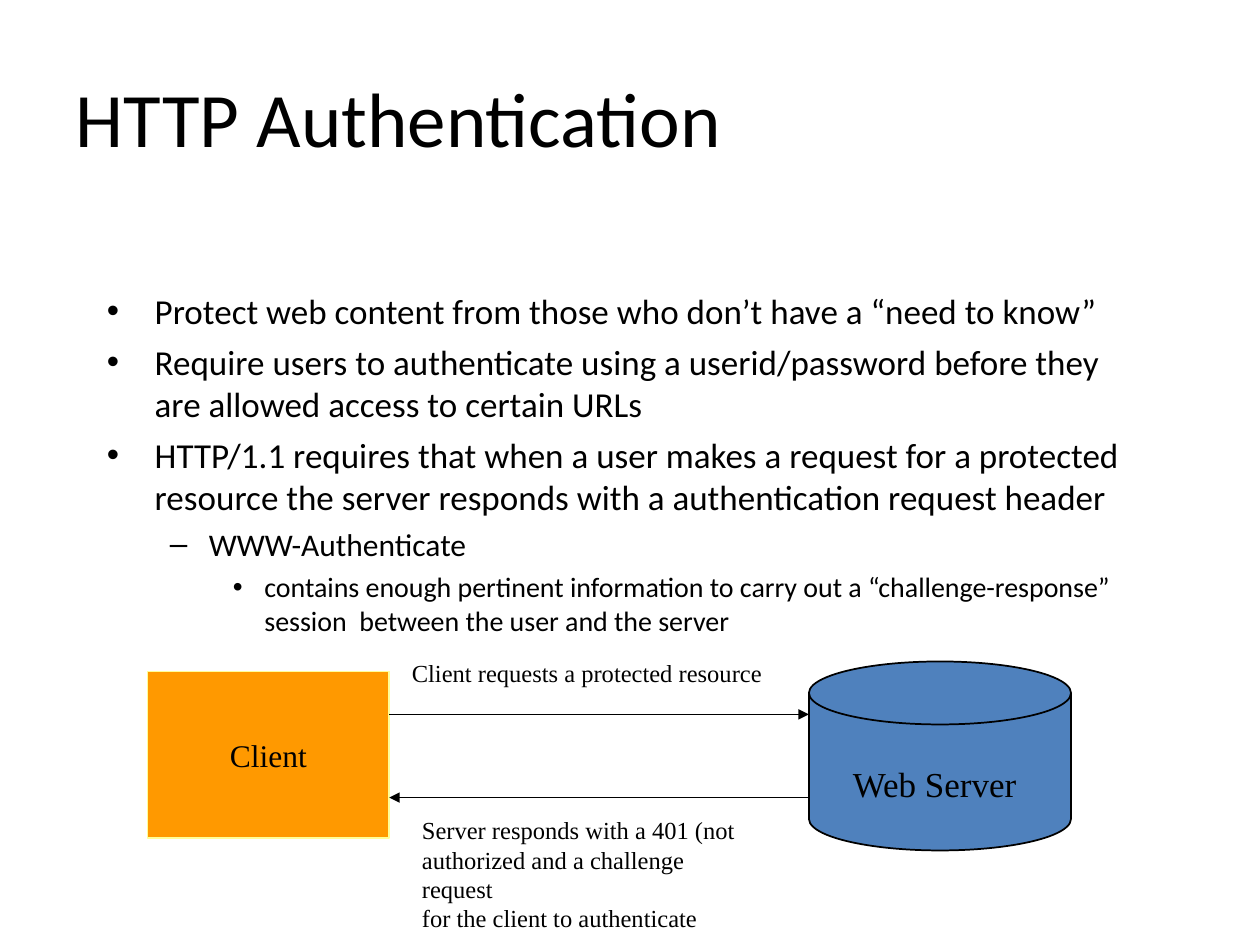
from lxml import etree
from pptx import Presentation
from pptx.dml.color import RGBColor
from pptx.enum import shapes, text
from pptx.oxml import ns
from pptx.util import Inches, Pt

SANS, SERIF = "Calibri", "Times New Roman"
TITLE = "HTTP Authentication"
POINTS = [
    (0, "Protect web content from those who don’t have a “need to know”"),
    (0, "Require users to authenticate using a userid/password before they are "
        "allowed access to certain URLs"),
    (0, "HTTP/1.1 requires that when a user makes a request for a protected "
        "resource the server responds with a authentication request header"),
    (1, "WWW-Authenticate"),
    (2, "contains enough pertinent information to carry out a “challenge-response” "
        "session  between the user and the server"),
]
# level: mark, size, left margin, hanging indent, space before
LEVELS = [("•", 20, 0.38, 0.38, 5), ("–", 18, 0.81, 0.31, 4.5), ("•", 16, 1.25, 0.25, 4)]
CLIENT = (1.17, 5.33, 1.92, 1.32)
SERVER = (6.42, 5.25, 2.08, 1.5)
LABELS = [
    (["Web Server"], (6.67, 6, 1.58, 0.44), 20),
    (["Client requests a protected resource"], (3.17, 5.17, 3.08, 0.34), 14),
    (["Server responds with a 401 (not", "authorized and a challenge request",
      "for the client to authenticate"], (3.25, 6.42, 2.89, 0.8), 14),
]
EDGES = (CLIENT[0] + CLIENT[2], SERVER[0])
ARROWS = [(EDGES, 5.67), (EDGES[::-1], 6.33)]


def color(code):
    return RGBColor.from_string(code)


def write(para, words, size, face=SERIF, align=text.PP_ALIGN.LEFT, gap=0):
    para.text = words
    para.alignment = align
    para.space_before = Pt(gap)
    font = para.font
    font.size, font.name = Pt(size), face
    font.color.rgb = color("000000")


def lines(frame, count):
    """Return the frame's first paragraph and as many more as needed."""
    return [frame.paragraphs[0]] + [frame.add_paragraph() for _ in range(count - 1)]


def bullet(para, mark, left, hang):
    props = para._p.get_or_add_pPr()
    props.set("marL", str(Inches(left)))
    props.set("indent", str(-Inches(hang)))
    etree.SubElement(props, ns.qn("a:buFont"), typeface="Arial")
    etree.SubElement(props, ns.qn("a:buChar"), char=mark)


def add_box(slide, at):
    frame = slide.shapes.add_textbox(*map(Inches, at)).text_frame
    frame.word_wrap = True
    return frame


def add_node(slide, kind, at, fill, edge):
    node = slide.shapes.add_shape(kind, *map(Inches, at))
    node.shadow.inherit = False
    node.fill.solid()
    node.fill.fore_color.rgb = color(fill)
    node.line.color.rgb = color(edge)
    node.line.width = Pt(1)
    return node


def add_arrow(slide, ends, y):
    start, end = ends
    link = slide.shapes.add_connector(
        shapes.MSO_CONNECTOR.STRAIGHT, Inches(start), Inches(y), Inches(end), Inches(y))
    link.line.color.rgb = color("000000")
    link.line.width = Pt(1)
    etree.SubElement(link.line._get_or_add_ln(), ns.qn("a:tailEnd"), type="triangle")
    etree.SubElement(link._element.spPr, ns.qn("a:effectLst"))


def main():
    deck = Presentation()
    deck.slide_width, deck.slide_height = Inches(10), Inches(7.5)
    slide = deck.slides.add_slide(deck.slide_layouts[5])

    title = slide.shapes.title
    title.left, title.top, title.width, title.height = map(Inches, (0.5, 0.3, 9, 1.25))
    title.text_frame.vertical_anchor = text.MSO_ANCHOR.MIDDLE
    write(title.text_frame.paragraphs[0], TITLE, 44, face=SANS)

    body = add_box(slide, (0.75, 2.25, 8.5, 3.08))
    for i, (para, (level, words)) in enumerate(zip(lines(body, len(POINTS)), POINTS)):
        mark, size, left, hang, gap = LEVELS[level]
        para.level = level
        bullet(para, mark, left, hang)
        write(para, words, size, face=SANS, gap=gap if i else 0)

    kinds = shapes.MSO_SHAPE
    add_node(slide, kinds.FLOWCHART_MAGNETIC_DISK, SERVER, "4F81BD", "000000")
    client = add_node(slide, kinds.RECTANGLE, CLIENT, "FF9900", "FFFF99")
    client.text_frame.vertical_anchor = text.MSO_ANCHOR.MIDDLE
    write(client.text_frame.paragraphs[0], "Client", 18, align=text.PP_ALIGN.CENTER)

    for ends, y in ARROWS:
        add_arrow(slide, ends, y)
    for rows, at, size in LABELS:
        frame = add_box(slide, at)
        for para, words in zip(lines(frame, len(rows)), rows):
            write(para, words, size)

    deck.save("out.pptx")


if __name__ == "__main__":
    main()
